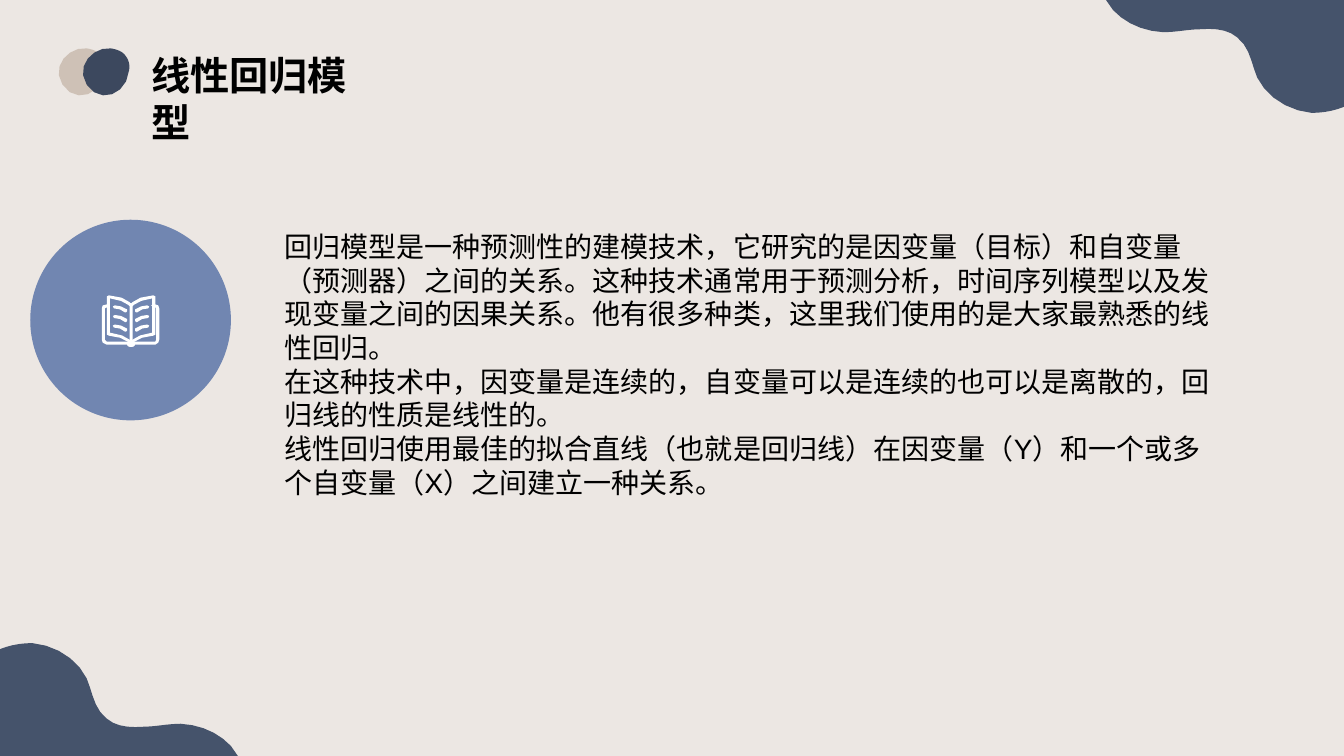
import pptx
import pptx.dml.color
import pptx.enum.shapes
import pptx.enum.text
import pptx.oxml.ns
import pptx.util
from pptx.util import Inches

WIDTH, HEIGHT = 13.33, 7.5
CJK_FONT = "Noto Sans CJK SC"
BACKGROUND, SLATE, NAVY, SAND = "ECE7E3", "45536B", "3C485E", "CEC1B6"
BLUE, WHITE, BLACK = "7186B1", "FFFFFF", "000000"
SPINE_X = 1.3

WAVE = [
    (13.33, 1.06), (13.23, 1.1, 13.12, 1.12, 13.01, 1.12),
    (12.78, 1.1, 12.56, 0.96, 12.47, 0.77), (12.41, 0.63, 12.4, 0.47, 12.27, 0.37),
    (12.18, 0.29, 12.04, 0.28, 11.91, 0.29), (11.79, 0.29, 11.66, 0.32, 11.54, 0.32),
    (11.34, 0.31, 11.16, 0.23, 11.04, 0.1), (10.97, 0), (13.33, 0),
]
BLOB = [
    (1.04, 0.7), (1.05, 0.65, 1.04, 0.6, 1.01, 0.56),
    (0.98, 0.51, 0.92, 0.49, 0.86, 0.48), (0.69, 0.46, 0.5, 0.65, 0.62, 0.84),
    (0.75, 1.04, 1.02, 0.94, 1.04, 0.7),
]
COVER = [
    (1.54, 3.42), (1.06, 3.42), (1.02, 3.4), (1.01, 3.37), (1.01, 3.06),
    (1.02, 3.03), (1.06, 3.02), (1.08, 3.02), (1.09, 3.03), (1.08, 3.05),
    (1.06, 3.05), (1.04, 3.06), (1.04, 3.37), (1.06, 3.39), (1.54, 3.39),
    (1.55, 3.37), (1.55, 3.06), (1.54, 3.05), (1.52, 3.05), (1.5, 3.03),
    (1.52, 3.02), (1.54, 3.02), (1.57, 3.03), (1.58, 3.06), (1.58, 3.37),
    (1.57, 3.4),
]
LEAF = [
    (1.3, 3.42), (1.29, 3.41), (1.29, 3.41, 1.21, 3.33, 1.08, 3.33),
    (1.06, 3.32), (1.06, 2.94), (1.08, 2.93),
    (1.23, 2.93, 1.31, 3.02, 1.31, 3.02), (1.31, 3.04), (1.29, 3.04),
    (1.29, 3.04, 1.22, 2.97, 1.09, 2.96), (1.09, 3.3),
    (1.23, 3.31, 1.31, 3.39, 1.31, 3.39), (1.31, 3.41),
]
TEXT_LINE = [
    (1.25, 3.1), (1.24, 3.1), (1.19, 3.07), (1.13, 3.06), (1.12, 3.04),
    (1.14, 3.03), (1.2, 3.04), (1.26, 3.07), (1.26, 3.09),
]
PARAGRAPHS = [
    "回归模型是一种预测性的建模技术，它研究的是因变量（目标）和自变量（预测器）之间的关系。"
    "这种技术通常用于预测分析，时间序列模型以及发现变量之间的因果关系。"
    "他有很多种类，这里我们使用的是大家最熟悉的线性回归。",
    "在这种技术中，因变量是连续的，自变量可以是连续的也可以是离散的，回归线的性质是线性的。",
    "线性回归使用最佳的拟合直线（也就是回归线）在因变量（Y）和一个或多个自变量（X）之间建立一种关系。",
]


def color(value):
    """Return the RGB colour for a hex string."""
    return pptx.dml.color.RGBColor.from_string(value)


def paint(shape, fill):
    """Give a shape a plain fill with no line or shadow."""
    shape.shadow.inherit = False
    shape.fill.solid()
    shape.fill.fore_color.rgb = color(fill)
    shape.line.fill.background()


def flatten(outline, steps):
    """Turn an outline of corners and cubic curves into a list of points."""
    points = []
    for segment in outline:
        if len(segment) == 2:
            points.append(segment)
            continue
        knots = [points[-1], segment[:2], segment[2:4], segment[4:]]
        for step in range(1, steps + 1):
            t = step / steps
            weights = ((1 - t) ** 3, 3 * t * (1 - t) ** 2, 3 * t * t * (1 - t), t ** 3)
            points.append(tuple(
                sum(weight * knot[axis] for weight, knot in zip(weights, knots))
                for axis in (0, 1)
            ))
    return points


def shift(points, right=0, down=0):
    """Move points by a distance in inches."""
    return [(x + right, y + down) for x, y in points]


def mirror(points):
    """Reflect points across the spine of the book."""
    return [(2 * SPINE_X - x, y) for x, y in points]


def add_outline(slide, points, fill):
    """Draw a filled closed freeform through points in inches."""
    start, *rest = [(Inches(x), Inches(y)) for x, y in points]
    builder = slide.shapes.build_freeform(*start)
    builder.add_line_segments(rest, close=True)
    paint(builder.convert_to_shape(), fill)


def add_preset(slide, kind, left, top, width, height, fill):
    """Draw a filled preset shape."""
    shape = slide.shapes.add_shape(
        kind, Inches(left), Inches(top), Inches(width), Inches(height))
    paint(shape, fill)
    return shape


def write(box, texts, size, line_height, font, bold=False, wrap=True):
    """Fill a text box with evenly formatted paragraphs."""
    frame = box.text_frame
    frame.word_wrap = wrap
    frame.auto_size = pptx.enum.text.MSO_AUTO_SIZE.SHAPE_TO_FIT_TEXT
    frame.vertical_anchor = pptx.enum.text.MSO_ANCHOR.TOP
    for index, text in enumerate(texts):
        para = frame.add_paragraph() if index else frame.paragraphs[0]
        para.alignment = pptx.enum.text.PP_ALIGN.LEFT
        para.line_spacing = pptx.util.Pt(line_height)
        para.space_before = pptx.util.Pt(0)
        span = para.add_run()
        span.text = text
        span.font.size = pptx.util.Pt(size)
        span.font.bold = bold
        span.font.name = font
        span.font.color.rgb = color(BLACK)
        east_asian = span.font._element.makeelement(
            pptx.oxml.ns.qn("a:ea"), {"typeface": CJK_FONT})
        span.font._element.append(east_asian)


def add_book(slide):
    """Draw the open book icon."""
    rounded = pptx.enum.shapes.MSO_SHAPE.ROUNDED_RECTANGLE
    add_outline(slide, COVER, WHITE)
    halves = [flatten(LEAF, 3)] + [shift(TEXT_LINE, down=0.095 * row) for row in range(3)]
    for half in halves:
        add_outline(slide, half, WHITE)
        add_outline(slide, mirror(half), WHITE)
    for top, width, height in ((3.01, 0.03, 0.39), (3.39, 0.08, 0.05)):
        bar = add_preset(slide, rounded, SPINE_X - width / 2, top, width, height, WHITE)
        bar.adjustments[0] = 0.5


def main():
    """Build the slide and save the deck."""
    deck = pptx.Presentation()
    deck.slide_width, deck.slide_height = Inches(WIDTH), Inches(HEIGHT)
    slide = deck.slides.add_slide(deck.slide_layouts[5])
    slide.background.fill.solid()
    slide.background.fill.fore_color.rgb = color(BACKGROUND)

    wave = flatten(WAVE, 5)
    add_outline(slide, wave, SLATE)
    add_outline(slide, [(WIDTH - x, HEIGHT - y) for x, y in wave], SLATE)

    title = slide.shapes.title
    title.left, title.top = Inches(1.4), Inches(0.45)
    title.width, title.height = Inches(2.53), Inches(0.57)
    write(title, ["线性回归模型"], 28, 34, CJK_FONT, bold=True, wrap=False)

    add_preset(slide, pptx.enum.shapes.MSO_SHAPE.OVAL, 0.3, 2.18, 1.99, 1.99, BLUE)
    add_book(slide)
    blob = flatten(BLOB, 6)
    add_outline(slide, blob, SAND)
    add_outline(slide, shift(blob, right=0.24), NAVY)

    body = slide.shapes.add_textbox(Inches(2.72), Inches(2.23), Inches(9.52), Inches(2.79))
    write(body, PARAGRAPHS, 20, 24, "Arial")
    deck.save("out.pptx")


if __name__ == "__main__":
    main()
